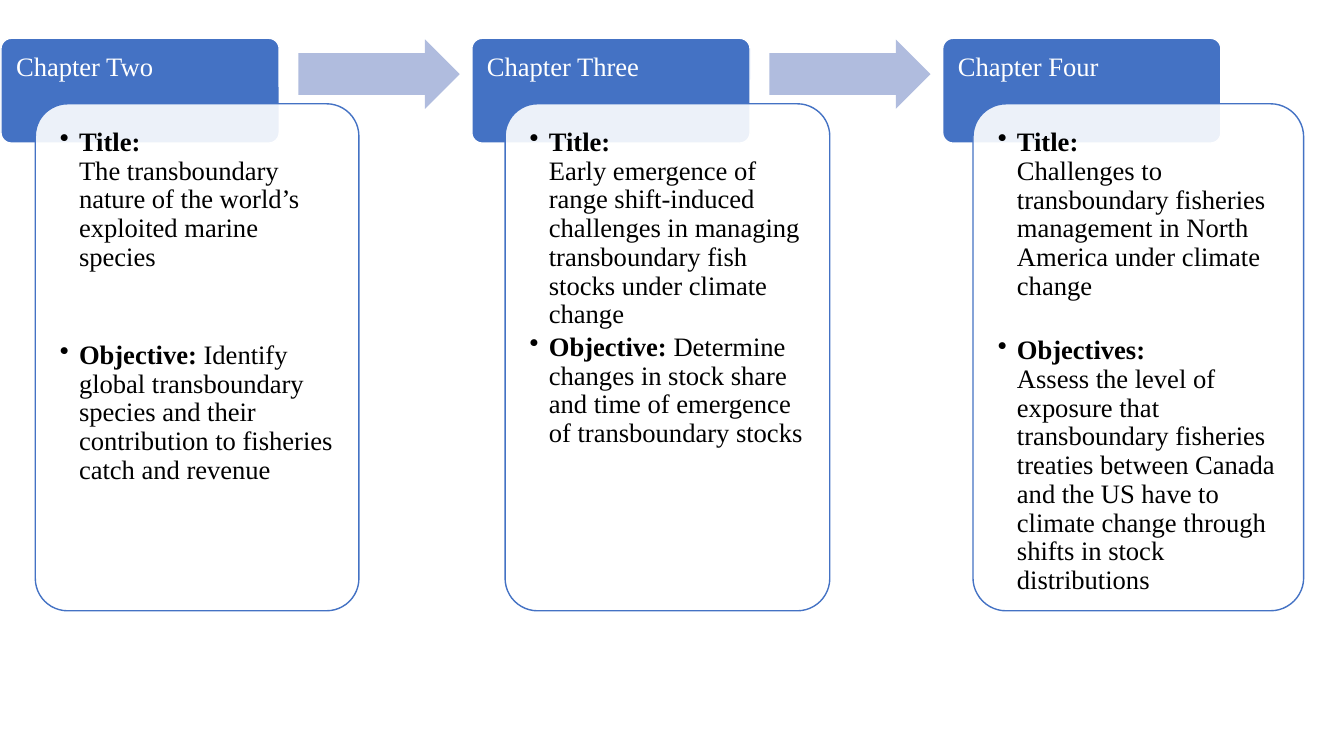
from dataclasses import dataclass

from lxml import etree
from pptx import Presentation
from pptx.dml.color import RGBColor
from pptx.enum.shapes import MSO_SHAPE
from pptx.enum.text import MSO_ANCHOR, PP_ALIGN
from pptx.oxml.ns import qn
from pptx.util import Inches, Pt

ROUND = MSO_SHAPE.ROUNDED_RECTANGLE
ARROW = MSO_SHAPE.RIGHT_ARROW
TOP = MSO_ANCHOR.TOP
LEFT = PP_ALIGN.LEFT

STEP = 4.67
CHAPTERS = [
    ("Chapter Two", 0.35, 3.21, 49.5, [
        ("Title:", True,
         "The transboundary nature of the world’s exploited marine species"),
        ("Objective:", False,
         "Identify global transboundary species and their contribution to "
         "fisheries catch and revenue"),
    ]),
    ("Chapter Three", 5.01, 3.22, 2.85, [
        ("Title:", True,
         "Early emergence of range shift-induced challenges in managing "
         "transboundary fish stocks under climate change"),
        ("Objective:", False,
         "Determine changes in stock share and time of emergence of "
         "transboundary stocks"),
    ]),
    ("Chapter Four", 9.65, 3.28, 25.5, [
        ("Title:", True,
         "Challenges to transboundary fisheries management in North America "
         "under climate change"),
        ("Objectives:", True,
         "Assess the level of exposure that transboundary fisheries treaties "
         "between Canada and the US have to climate change through shifts in "
         "stock distributions"),
    ]),
]


@dataclass
class Theme:
    """Colours and type of the slide."""
    blue: RGBColor = RGBColor(0x44, 0x72, 0xC4)
    pale: RGBColor = RGBColor(0xB0, 0xBC, 0xDE)
    white: RGBColor = RGBColor(0xFF, 0xFF, 0xFF)
    black: RGBColor = RGBColor(0, 0, 0)
    face: str = "Times New Roman"
    size: float = 19


class Board:
    """Draws the parts of one slide in one theme."""

    def __init__(self, slide, theme):
        self.slide = slide
        self.theme = theme

    def shape(self, kind, box, fill, line=None):
        item = self.slide.shapes.add_shape(kind, *map(Inches, box))
        item.shadow.inherit = False
        item.fill.solid()
        item.fill.fore_color.rgb = fill
        if line is None:
            item.line.fill.background()
        else:
            item.line.color.rgb = line
            item.line.width = Pt(1)
        return item

    def frame(self, item, inset):
        frame = item.text_frame
        frame.word_wrap = True
        frame.vertical_anchor = TOP
        frame.margin_left = frame.margin_right = Inches(inset)
        frame.margin_top = frame.margin_bottom = Inches(inset)
        return frame

    def style(self, para, color):
        para.alignment = LEFT
        para.line_spacing = 0.9
        para.font.name = self.theme.face
        para.font.size = Pt(self.theme.size)
        para.font.color.rgb = color

    def header(self, left, text):
        theme = self.theme
        item = self.shape(ROUND, (left, 0.38, 2.76, 1.04), theme.blue, theme.white)
        item.adjustments[0] = 0.1
        para = self.frame(item, 0.12).paragraphs[0]
        para.text = text
        self.style(para, theme.white)

    def panel(self, left, width, gap, points):
        theme = self.theme
        item = self.shape(ROUND, (left, 1.03, width, 5.03), theme.white, theme.blue)
        item.adjustments[0] = 0.1
        tint = item.fill._xPr.find(qn("a:solidFill"))[0]
        etree.SubElement(tint, qn("a:alpha"), val="90000")
        frame = self.frame(item, 0.15)
        for order, point in enumerate(points):
            para = frame.add_paragraph() if order else frame.paragraphs[0]
            self.bullet(para, *point)
            if order:
                para.space_before = Pt(gap)

    def bullet(self, para, label, split, text):
        props = para._p.get_or_add_pPr()
        props.set("marL", str(Inches(0.19)))
        props.set("indent", str(Inches(-0.19)))
        etree.SubElement(props, qn("a:buChar"), char="•")
        self.style(para, self.theme.black)
        head = para.add_run()
        head.text = label if split else label + " "
        head.font.bold = True
        if split:
            para.add_line_break()
        para.add_run().text = text

    def arrow(self, left):
        item = self.shape(ARROW, (left, 0.39, 1.6, 0.69), self.theme.pale)
        item.adjustments[0] = 0.6
        item.adjustments[1] = 0.5


def main():
    deck = Presentation()
    deck.slide_width = Inches(13.33)
    deck.slide_height = Inches(7.5)
    board = Board(deck.slides.add_slide(deck.slide_layouts[6]), Theme())
    for order, (name, left, width, gap, points) in enumerate(CHAPTERS):
        start = 0.01 + order * STEP
        board.header(start, name)
        board.panel(left, width, gap, points)
        if order < len(CHAPTERS) - 1:
            board.arrow(start + 2.95)
    deck.save("out.pptx")


if __name__ == "__main__":
    main()
